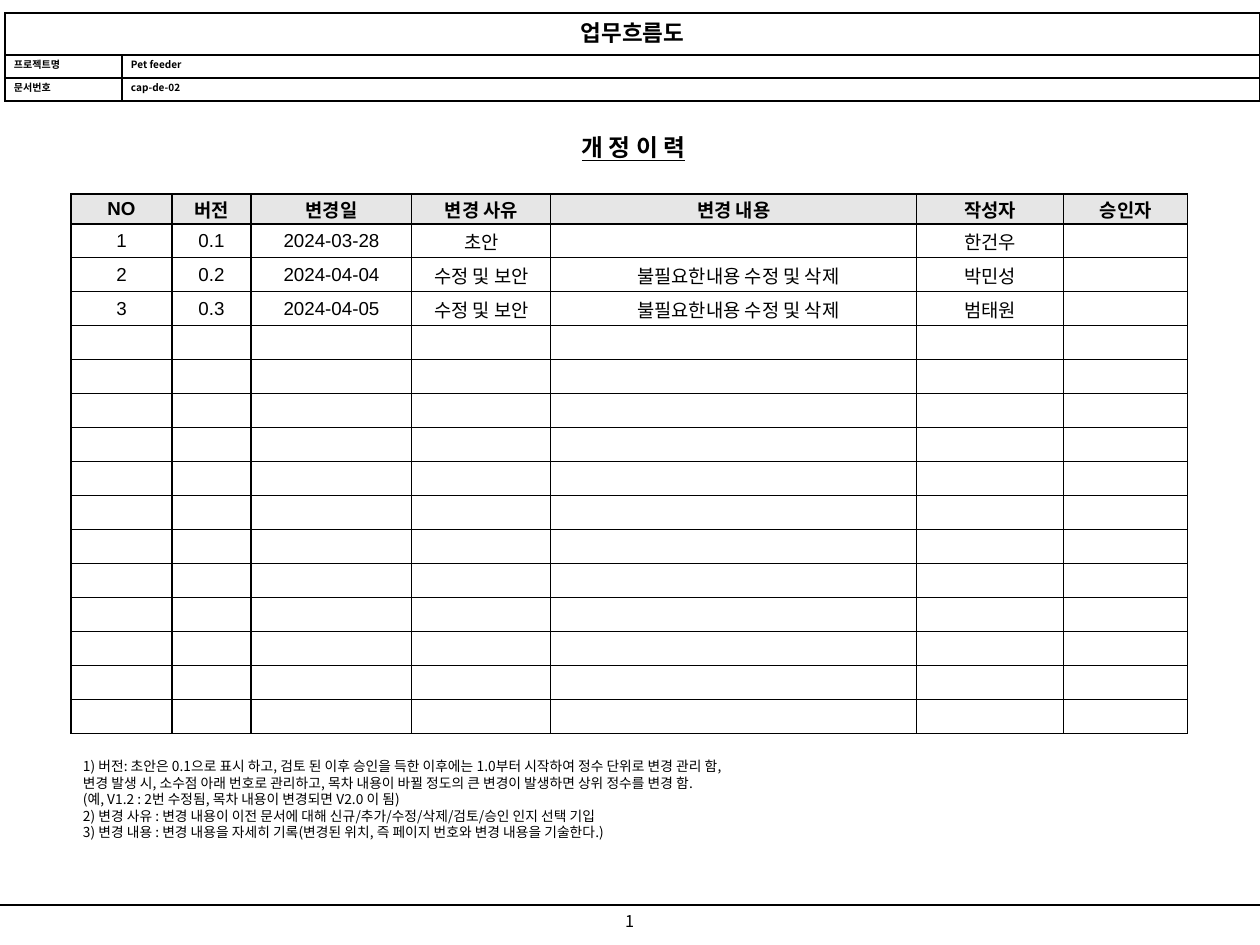
from lxml import etree
from pptx import Presentation
from pptx import util as u
from pptx.dml.color import RGBColor
from pptx.enum import shapes, text
from pptx.oxml import ns

PX = 10160
BLACK = RGBColor(0x00, 0x00, 0x00)
WHITE = RGBColor(0xFF, 0xFF, 0xFF)
GREY = RGBColor(0xE6, 0xE6, 0xE6)
KOREAN = "Noto Sans CJK KR"
LEFT, CENTER = text.PP_ALIGN.LEFT, text.PP_ALIGN.CENTER
TOP, MIDDLE = text.MSO_ANCHOR.TOP, text.MSO_ANCHOR.MIDDLE


def write(frame, content, size=11, font=KOREAN, bold=False, underline=False, align=LEFT, spacing=None):
    for index, line in enumerate(content.split("\n")):
        paragraph = frame.paragraphs[0] if index == 0 else frame.add_paragraph()
        paragraph.alignment = align
        if spacing:
            paragraph.line_spacing = u.Pt(spacing)
        run = paragraph.add_run()
        run.text = line
        run.font.size = u.Pt(size)
        run.font.name = font
        run.font.bold = bold
        run.font.underline = underline
        run.font.color.rgb = BLACK
        east_asian = etree.SubElement(run.font._element, ns.qn("a:ea"))
        east_asian.set("typeface", KOREAN)


def style_cell(cell, fill, margins, anchor):
    cell.margin_left = cell.margin_right = margins[0] * PX
    cell.margin_top = cell.margin_bottom = margins[1] * PX
    cell.vertical_anchor = anchor
    properties = cell._tc.get_or_add_tcPr()
    for side in ("a:lnL", "a:lnR", "a:lnT", "a:lnB"):
        border = etree.SubElement(properties, ns.qn(side), w="12700")
        solid = etree.SubElement(border, ns.qn("a:solidFill"))
        etree.SubElement(solid, ns.qn("a:srgbClr"), val=str(BLACK))
    if fill is None:
        cell.fill.background()
    else:
        cell.fill.solid()
        cell.fill.fore_color.rgb = fill


deck = Presentation()
deck.slide_width = 1260 * PX
deck.slide_height = 945 * PX
slide = deck.slides.add_slide(deck.slide_layouts[6])

footer_rule = slide.shapes.add_connector(shapes.MSO_CONNECTOR.STRAIGHT, 0, 905 * PX, 1260 * PX, 905 * PX)
footer_rule.line.color.rgb = BLACK
footer_rule.line.width = u.Pt(1)
etree.SubElement(footer_rule._element.spPr, ns.qn("a:effectLst"))

notes = """1) 버전: 초안은 0.1으로 표시 하고, 검토 된 이후 승인을 득한 이후에는 1.0부터 시작하여 정수 단위로 변경 관리 함,
변경 발생 시, 소수점 아래 번호로 관리하고, 목차 내용이 바뀔 정도의 큰 변경이 발생하면 상위 정수를 변경 함.
(예, V1.2 : 2번 수정됨, 목차 내용이 변경되면 V2.0 이 됨)
2) 변경 사유 : 변경 내용이 이전 문서에 대해 신규/추가/수정/삭제/검토/승인 인지 선택 기입
3) 변경 내용 : 변경 내용을 자세히 기록(변경된 위치, 즉 페이지 번호와 변경 내용을 기술한다.)"""
captions = [
    ((605, 905, 49, 31), "1", TOP, dict(size=13, align=CENTER, spacing=15.6)),
    ((524, 126, 219, 42), "개 정 이 력", MIDDLE, dict(size=19, bold=True, underline=True, align=CENTER)),
    ((71, 752, 1118, 95), notes, TOP, dict(size=11, spacing=13.2)),
]
for box, content, anchor, style in captions:
    frame = slide.shapes.add_textbox(*[side * PX for side in box]).text_frame
    frame.word_wrap = True
    frame.vertical_anchor = anchor
    frame.margin_left = frame.margin_right = 12 * PX
    frame.margin_top = frame.margin_bottom = 6 * PX
    write(frame, content, **style)

revisions = [
    ["NO", "버전", "변경일", "변경 사유", "변경 내용", "작성자", "승인자"],
    ["1", "0.1", "2024-03-28", "초안", "", "한건우", ""],
    ["2", "0.2", "2024-04-04", "수정 및 보안", "불필요한내용 수정 및 삭제", "박민성", ""],
    ["3", "0.3", "2024-04-05", "수정 및 보안", "불필요한내용 수정 및 삭제", "범태원", ""],
] + [[""] * 7] * 12
document_info = [["업무흐름도", ""], ["프로젝트명", "Pet feeder"], ["문서번호", "cap-de-02"]]

grids = []
for rows, left, top, widths, heights in [
    (revisions, 71, 194, [101, 79, 161, 139, 366, 147, 124], [30] + [34] * 15),
    (document_info, 5, 13, [117, 1138], [42, 23, 23]),
]:
    grid = slide.shapes.add_table(
        len(rows), len(widths), left * PX, top * PX, sum(widths) * PX, sum(heights) * PX
    ).table
    grid.first_row = grid.horz_banding = False
    for column, width in zip(grid.columns, widths):
        column.width = width * PX
    for row, height in zip(grid.rows, heights):
        row.height = height * PX
    grids.append(grid)
history, header = grids

for r, row in enumerate(revisions):
    for c, content in enumerate(row):
        cell = history.cell(r, c)
        style_cell(cell, GREY if r == 0 else None, (8, 0), MIDDLE)
        if content:
            write(cell.text_frame, content, size=15, font="Arial", bold=r == 0, align=CENTER)
        if r > 0 and c == 4:
            cell.margin_left = 17 * PX

header.cell(0, 0).merge(header.cell(0, 1))
for r, row in enumerate(document_info):
    for c, content in enumerate(row):
        cell = header.cell(r, c)
        style_cell(cell, WHITE, (9, 2), TOP)
        if content:
            write(cell.text_frame, content, size=18 if r == 0 else 8, bold=True, align=CENTER if r == 0 else LEFT)

deck.save("out.pptx")
